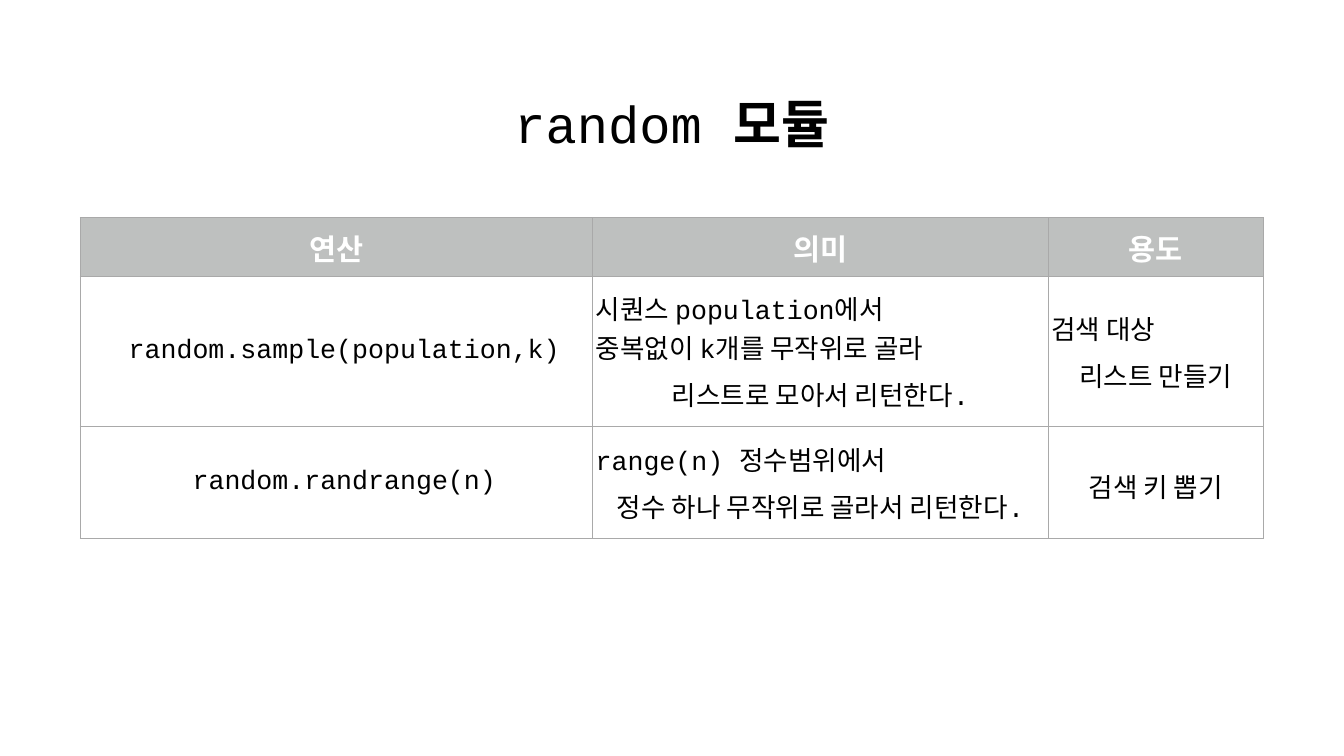
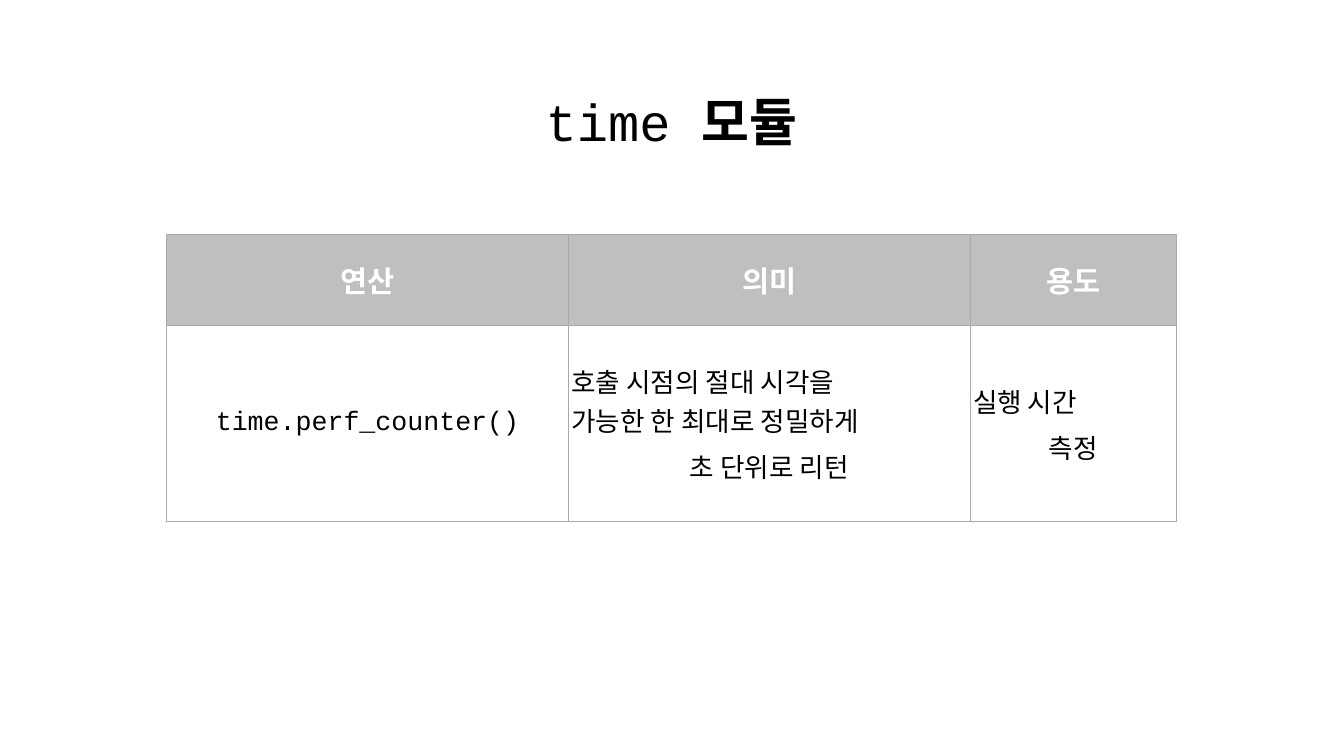
from dataclasses import dataclass

from lxml import etree
from pptx import Presentation
from pptx.dml.color import RGBColor
from pptx.enum.text import MSO_ANCHOR, MSO_AUTO_SIZE, PP_ALIGN
from pptx.oxml.ns import qn
from pptx.util import Inches, Pt

CENTER = PP_ALIGN.CENTER
BOTTOM, MIDDLE = MSO_ANCHOR.BOTTOM, MSO_ANCHOR.MIDDLE
NO_AUTOFIT = MSO_AUTO_SIZE.NONE
TITLE_ONLY = 5


@dataclass(frozen=True)
class Theme:
    """Colours, fonts and sizes shared by the slides."""
    paper: str = "FFFFFF"
    ink: str = "000000"
    header: str = "BEC0BF"
    border: str = "A9A9A9"
    code_font: str = "Courier New"
    label_font: str = "Arial"
    title_size: float = 74.4
    header_size: float = 42
    body_size: float = 38
    border_width: float = 1
    line_spacing: float = 1.2
    inset: float = 0.06


THEME = Theme()
HEADERS = ("연산", "의미", "용도")

MODULES = [
    dict(
        name="random",
        title_box=(9.86, 1.65, 6.94, 1.47),
        table_at=(1.59, 4.32),
        columns=(10.17, 9.04, 4.27),
        heights=(1.17, 2.96, 2.24),
        operations=[
            (" random.sample(population,k)",
             "시퀀스 population에서 \n중복없이 k개를 무작위로 골라\n리스트로 모아서 리턴한다.",
             "검색 대상\n리스트 만들기"),
            (" random.randrange(n)",
             "range(n) 정수범위에서 \n정수 하나 무작위로 골라서 리턴한다.",
             "검색 키 뽑기"),
        ],
    ),
    dict(
        name="time",
        title_box=(9.86, 1.6, 6.94, 1.47),
        table_at=(3.31, 4.65),
        columns=(7.97, 7.97, 4.09),
        heights=(1.81, 3.89),
        operations=[
            ("time.perf_counter()",
             "호출 시점의 절대 시각을\n가능한 한 최대로 정밀하게 \n초 단위로 리턴",
             "실행 시간\n측정"),
        ],
    ),
]


def rgb(color):
    """Turn a hex string into a colour."""
    return RGBColor.from_string(color)


def set_font(font, name, size, color, bold=False):
    """Format a run or paragraph font."""
    font.name, font.size, font.bold = name, Pt(size), bold
    font.color.rgb = rgb(color)


def set_insets(frame):
    """Give a text frame or cell the shared margins."""
    frame.margin_left = frame.margin_right = Inches(THEME.inset)
    frame.margin_top = frame.margin_bottom = Inches(THEME.inset)


def add_borders(cell):
    """Draw a thin line on all four sides of a cell."""
    props = cell._tc.get_or_add_tcPr()
    for i, side in enumerate(("lnL", "lnR", "lnT", "lnB")):
        line = etree.Element(qn(f"a:{side}"), w=str(Pt(THEME.border_width)))
        fill = etree.SubElement(line, qn("a:solidFill"))
        etree.SubElement(fill, qn("a:srgbClr"), val=THEME.border)
        props.insert(i, line)


def add_title(s, name, box):
    """Place the module title in the title placeholder."""
    title = s.shapes.title
    title.left, title.top, title.width, title.height = map(Inches, box)
    title.fill.solid()
    title.fill.fore_color.rgb = rgb(THEME.paper)
    tf = title.text_frame
    tf.word_wrap, tf.auto_size = True, NO_AUTOFIT
    tf.vertical_anchor = BOTTOM
    set_insets(tf)
    p = tf.paragraphs[0]
    p.alignment = CENTER
    for text, font, bold in ((f"{name} ", THEME.code_font, False),
                             ("모듈", THEME.label_font, True)):
        r = p.add_run()
        r.text = text
        set_font(r.font, font, THEME.title_size, THEME.ink, bold)


def fill_cell(cell, text, is_header, is_prose):
    """Write and format one table cell."""
    cell.vertical_anchor = MIDDLE
    set_insets(cell)
    p = cell.text_frame.paragraphs[0]
    p.alignment = CENTER
    p.add_run().text = text
    if is_header:
        cell.fill.solid()
        cell.fill.fore_color.rgb = rgb(THEME.header)
        set_font(p.font, THEME.label_font, THEME.header_size, THEME.paper, True)
    else:
        cell.fill.background()
        set_font(p.font, THEME.code_font, THEME.body_size, THEME.ink)
        if is_prose:
            p.line_spacing = THEME.line_spacing
    add_borders(cell)


def add_operations(s, at, columns, heights, operations):
    """Add the table of operations with its header row."""
    rows = [HEADERS, *operations]
    box = (*at, sum(columns), sum(heights))
    table = s.shapes.add_table(len(rows), len(columns), *map(Inches, box)).table
    table.horz_banding = False
    for column, width in zip(table.columns, columns):
        column.width = Inches(width)
    for i, (row, height) in enumerate(zip(rows, heights)):
        table.rows[i].height = Inches(height)
        for j, text in enumerate(row):
            fill_cell(table.cell(i, j), text, i == 0, j > 0)


def add_module_slide(prs, name, title_box, table_at, columns, heights, operations):
    """Add a slide that describes one module."""
    s = prs.slides.add_slide(prs.slide_layouts[TITLE_ONLY])
    s.background.fill.solid()
    s.background.fill.fore_color.rgb = rgb(THEME.paper)
    add_title(s, name, title_box)
    add_operations(s, table_at, columns, heights, operations)


def main():
    """Build and save the presentation."""
    prs = Presentation()
    prs.slide_width, prs.slide_height = Inches(26.67), Inches(15)
    for module in MODULES:
        add_module_slide(prs, **module)
    prs.save("out.pptx")


if __name__ == "__main__":
    main()
